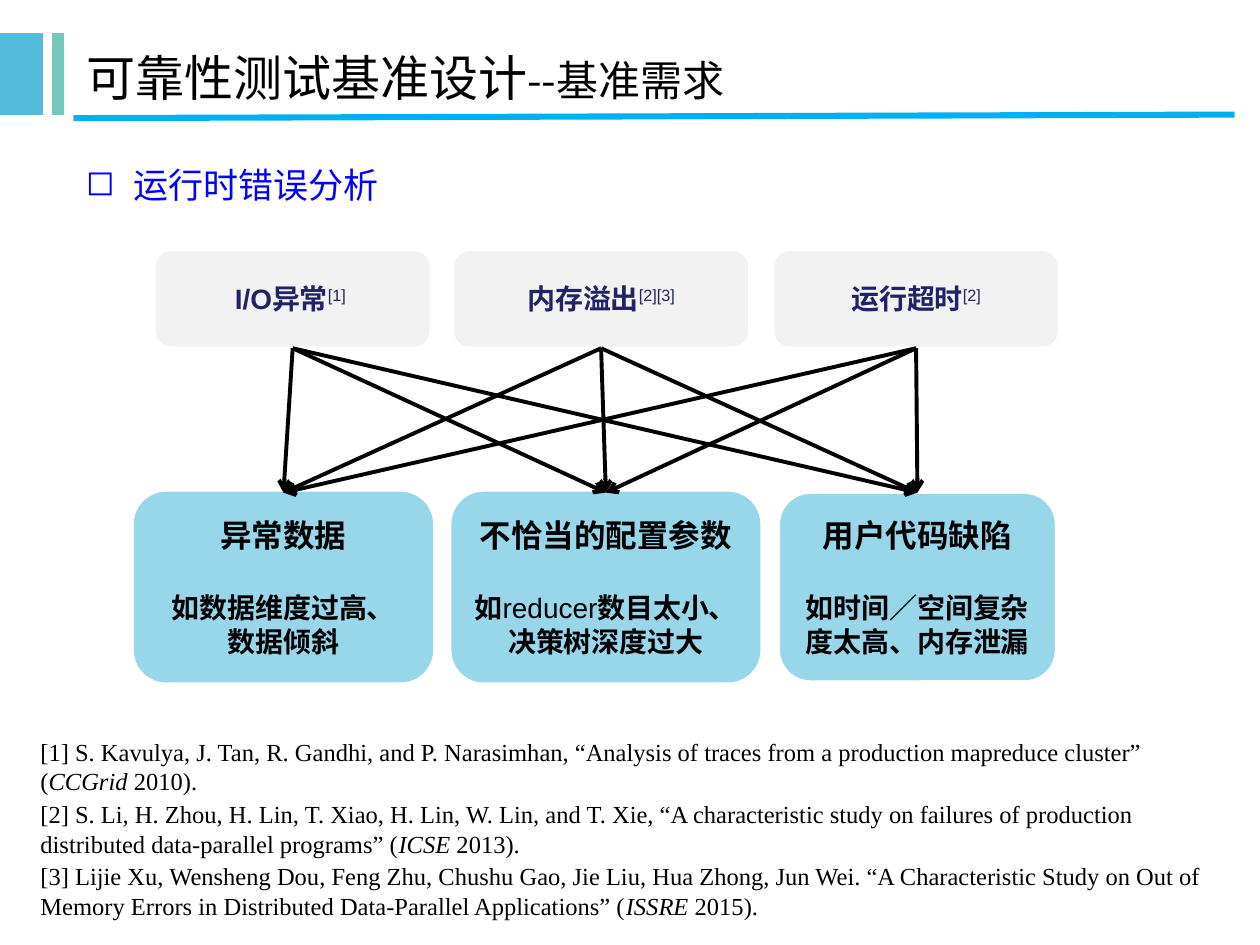
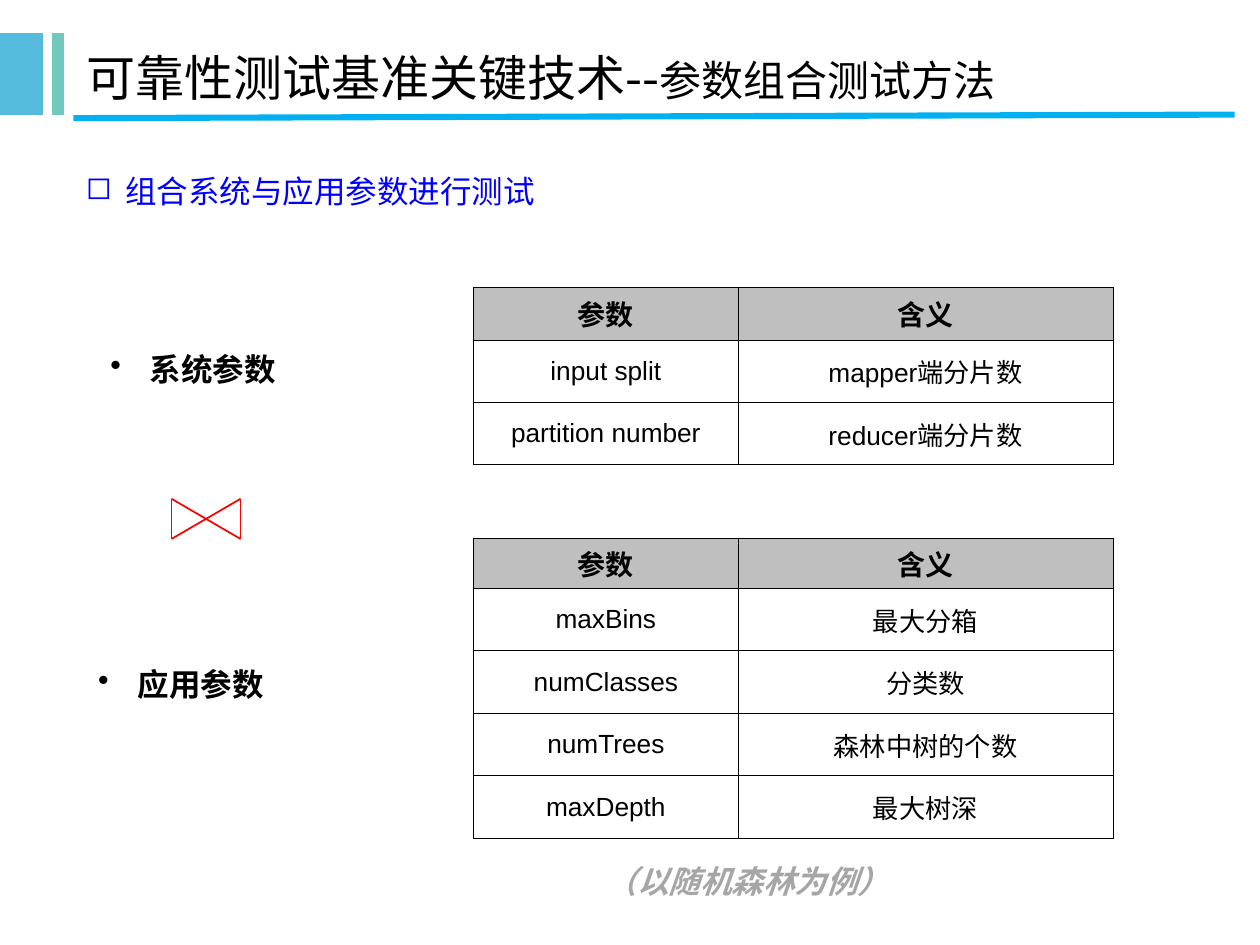
from dataclasses import dataclass, replace
from itertools import product

from lxml.etree import SubElement
from pptx import Presentation
from pptx.dml.color import RGBColor
from pptx.enum.shapes import MSO_CONNECTOR, MSO_SHAPE
from pptx.enum.text import MSO_ANCHOR, MSO_AUTO_SIZE, PP_ALIGN
from pptx.oxml.ns import qn
from pptx.util import Pt


@dataclass(frozen=True)
class Style:
    size: float
    color: str = "000000"
    bold: bool = False
    italic: bool = False
    raised: bool = False
    font: str = "Arial"


class Theme:
    east_asian = "Noto Sans CJK SC"
    band_blue, band_green, rule = "54BBDC", "73C8BE", "00B0F0"
    symptom_fill, cause_fill, white = "F2F2F2", "98D6EA", "FFFFFF"
    header_fill, black, red = "BFBFBF", "000000", "FF0000"
    title = Style(28, font=east_asian)
    subtitle = Style(24, font=east_asian)
    topic = Style(20, "0000FF")
    small_topic = Style(18, "0000FF")
    symptom = Style(16, "222267", bold=True)
    citation = Style(16, "222267", raised=True)
    heading = Style(18, bold=True)
    detail = Style(16, bold=True)
    cell = Style(15)
    reference = Style(14, font="Times New Roman")
    remark = Style(18, "A6A6A6", bold=True, italic=True)


BANDS = [(0, 24, Theme.band_blue), (30, 6, Theme.band_green)]  # left, width, colour

# Name, citation, left, width
SYMPTOMS = [
    ("I/O异常", "[1] ", 88, 158.5),
    ("内存溢出", "[2][3]", 258.5, 170),
    ("运行超时", "[2]", 441.5, 164),
]
# Heading, detail paragraphs as (text, bold) spans, left, width, outline, outline width
CAUSES = [
    ("异常数据", [[("如数据维度过高、", True)], [("数据倾斜", True)]],
     77, 170, Theme.cause_fill, 1),
    ("不恰当的配置参数",
     [[("如", True), ("reducer", False), ("数目太小、决策树深度过大", True)]],
     258.5, 175.5, Theme.cause_fill, 1),
    ("用户代码缺陷", [[("如时间／空间复杂度太高、内存泄漏", True)]],
     445, 158.5, Theme.white, 1.5),
]
# Before the venue, venue, after the venue
REFERENCES = [
    ("[1] S. Kavulya, J. Tan, R. Gandhi, and P. Narasimhan, “Analysis of traces from "
     "a production mapreduce cluster” (", "CCGrid", " 2010)."),
    ("[2] S. Li, H. Zhou, H. Lin, T. Xiao, H. Lin, W. Lin, and T. Xie, “A characteristic "
     "study on failures of production distributed data-parallel programs” (",
     "ICSE", " 2013)."),
    ("[3] Lijie Xu, Wensheng Dou, Feng Zhu, Chushu Gao, Jie Liu, Hua Zhong, Jun Wei. "
     "“A Characteristic Study on Out of Memory Errors in Distributed Data-Parallel "
     "Applications” (", "ISSRE", " 2015)."),
]

TABLE_HEADER = ("参数", "含义")
# Label, label left, top and width, table top, header height, rows
PARAMETER_GROUPS = [
    ("系统参数", 56, 196.5, 149, 164.25, 30, [
        ("input split", "mapper端分片数"),
        ("partition number", "reducer端分片数"),
    ]),
    ("应用参数", 49, 376.5, 163.5, 307.75, 28.5, [
        ("maxBins", "最大分箱"),
        ("numClasses", "分类数"),
        ("numTrees", "森林中树的个数"),
        ("maxDepth", "最大树深"),
    ]),
]
TABLE_LEFT, COLUMN_WIDTHS, BODY_ROW_HEIGHT = 270.75, (151, 214.25), 35.7
JOIN_LEFT, JOIN_TOP, JOIN_RIGHT, JOIN_BOTTOM = 98, 285, 137.5, 308


def rgb(value):
    return RGBColor.from_string(value)


def write(frame, paragraphs, align=PP_ALIGN.LEFT):
    """Fill a text frame; each paragraph is a list of (text, style) spans."""
    for index, spans in enumerate(paragraphs):
        para = frame.paragraphs[0] if index == 0 else frame.add_paragraph()
        para.alignment = align
        for text, style in spans:
            span = para.add_run()
            span.text = text
            span.font.size = Pt(style.size)
            span.font.bold = style.bold
            span.font.italic = style.italic
            span.font.name = style.font
            span.font.color.rgb = rgb(style.color)
            properties = span._r.get_or_add_rPr()
            SubElement(properties, qn("a:ea"), typeface=Theme.east_asian)
            if style.raised:
                properties.set("baseline", "30000")


def add_box(page, kind, left, top, width, height, fill, line, line_width):
    box = page.shapes.add_shape(kind, Pt(left), Pt(top), Pt(width), Pt(height))
    box.shadow.inherit = False
    box.fill.solid()
    box.fill.fore_color.rgb = rgb(fill)
    box.line.color.rgb = rgb(line)
    box.line.width = Pt(line_width)
    box.text_frame.word_wrap = True
    box.text_frame.vertical_anchor = MSO_ANCHOR.MIDDLE
    return box


def add_line(page, start, end, color, width):
    line = page.shapes.add_connector(
        MSO_CONNECTOR.STRAIGHT, *(Pt(value) for value in (*start, *end)))
    line.line.color.rgb = rgb(color)
    line.line.width = Pt(width)
    SubElement(line._element.spPr, qn("a:effectLst"))
    return line


def add_arrow(page, source, target):
    arrow = add_line(page, (0, 0), (1, 1), Theme.black, 2.25)
    arrow.begin_connect(source, 2)  # bottom middle
    arrow.end_connect(target, 0)  # top middle
    SubElement(arrow.line._get_or_add_ln(), qn("a:tailEnd"), type="arrow")


def add_text(page, left, top, width, height, paragraphs):
    frame = page.shapes.add_textbox(Pt(left), Pt(top), Pt(width), Pt(height)).text_frame
    frame.word_wrap = True
    frame.auto_size = MSO_AUTO_SIZE.SHAPE_TO_FIT_TEXT
    write(frame, paragraphs)
    return frame


def add_bullet(page, left, top, width, height, text, style, mark, indent):
    frame = add_text(page, left, top, width, height, [[(text, style)]])
    properties = frame.paragraphs[0]._p.get_or_add_pPr()
    properties.set("marL", str(Pt(indent)))
    properties.set("indent", str(-Pt(indent)))
    SubElement(properties, qn("a:buChar"), char=mark)


def add_page(deck, title, subtitle):
    """Add a slide with the side bands, the title and the rule below it."""
    page = deck.slides.add_slide(deck.slide_layouts[5])
    for left, width, color in BANDS:
        add_box(page, MSO_SHAPE.RECTANGLE, left, 19, width, 46.5, color, color, 0.75)
    holder = page.shapes.title
    holder.left, holder.top = Pt(42.5), Pt(19)
    holder.width, holder.height = Pt(641.5), Pt(49.5)
    holder.text_frame.vertical_anchor = MSO_ANCHOR.MIDDLE
    holder.text_frame.auto_size = MSO_AUTO_SIZE.NONE
    write(holder.text_frame, [[(title, Theme.title), (subtitle, Theme.subtitle)]])
    add_line(page, (42, 67.5), (705.5, 65.5), Theme.rule, 3.5)
    return page


def format_cell(cell, text, style, fill):
    cell.fill.solid()
    cell.fill.fore_color.rgb = rgb(fill)
    cell.vertical_anchor = MSO_ANCHOR.MIDDLE
    cell.margin_top = cell.margin_bottom = Pt(2.5)
    write(cell.text_frame, [[(text, style)]], PP_ALIGN.CENTER)
    properties = cell._tc.get_or_add_tcPr()
    for position, side in enumerate("LRTB"):
        border = SubElement(properties, qn("a:ln" + side), w=str(Pt(0.5)))
        color = SubElement(SubElement(border, qn("a:solidFill")), qn("a:srgbClr"))
        color.set("val", Theme.black)
        properties.insert(position, border)


def add_parameter_table(page, top, header_height, body):
    rows = [TABLE_HEADER, *body]
    heights = [header_height] + [BODY_ROW_HEIGHT] * len(body)
    table = page.shapes.add_table(
        len(rows), len(COLUMN_WIDTHS), Pt(TABLE_LEFT), Pt(top),
        Pt(sum(COLUMN_WIDTHS)), Pt(sum(heights))).table
    table.first_row = table.horz_banding = False
    for column, width in zip(table.columns, COLUMN_WIDTHS):
        column.width = Pt(width)
    for index, (texts, height) in enumerate(zip(rows, heights)):
        table.rows[index].height = Pt(height)
        style, fill = ((Theme.detail, Theme.header_fill) if index == 0
                       else (Theme.cell, Theme.white))
        for cell, text in zip(table.rows[index].cells, texts):
            format_cell(cell, text, style, fill)


def build_error_page(deck):
    page = add_page(deck, "可靠性测试基准设计", "--基准需求")
    add_bullet(page, 42, 90, 186, 31, "运行时错误分析", Theme.topic, "◻", 27)

    symptoms, causes = [], []
    for name, citation, left, width in SYMPTOMS:
        box = add_box(page, MSO_SHAPE.ROUNDED_RECTANGLE, left, 142.5, width, 56.5,
                      Theme.symptom_fill, Theme.white, 2)
        write(box.text_frame, [[(name, Theme.symptom), (citation, Theme.citation)]],
              PP_ALIGN.CENTER)
        symptoms.append(box)
    for heading, details, left, width, line, line_width in CAUSES:
        box = add_box(page, MSO_SHAPE.ROUNDED_RECTANGLE, left, 281.5, width, 108,
                      Theme.cause_fill, line, line_width)
        paragraphs = [[(text, replace(Theme.detail, bold=bold)) for text, bold in spans]
                      for spans in details]
        write(box.text_frame, [[(heading, Theme.heading)], *paragraphs], PP_ALIGN.CENTER)
        box.text_frame.paragraphs[0].space_after = Pt(21)
        causes.append(box)
    for symptom, cause in product(symptoms, causes):
        add_arrow(page, symptom, cause)

    venue_style = replace(Theme.reference, italic=True)
    frame = add_text(page, 16, 417.5, 687.5, 112.5, [
        [(before, Theme.reference), (venue, venue_style), (after, Theme.reference)]
        for before, venue, after in REFERENCES])
    for para in frame.paragraphs:
        para.space_before = para.space_after = Pt(1)


def build_parameter_page(deck):
    page = add_page(deck, "可靠性测试基准关键技术", "--参数组合测试方法")
    # The dashes of this title keep the large size.
    dashes = page.shapes.title.text_frame.paragraphs[0].runs
    dashes[0].text, dashes[1].text = "可靠性测试基准关键技术--", "参数组合测试方法"
    add_bullet(page, 42, 94.5, 519, 29, "组合系统与应用参数进行测试",
               Theme.small_topic, "◻", 22.5)
    for label, left, top, width, table_top, header_height, rows in PARAMETER_GROUPS:
        add_bullet(page, left, top, width, 29, label, Theme.heading, "•", 22.5)
        add_parameter_table(page, table_top, header_height, rows)

    corners = [(JOIN_LEFT, JOIN_TOP), (JOIN_RIGHT, JOIN_BOTTOM),
               (JOIN_RIGHT, JOIN_TOP), (JOIN_LEFT, JOIN_BOTTOM)]
    for start, end in zip(corners, corners[1:] + corners[:1]):
        add_line(page, start, end, Theme.red, 1)
    add_text(page, 339, 489, 229, 29, [[("（以随机森林为例）", Theme.remark)]])


def main():
    deck = Presentation()
    deck.slide_width, deck.slide_height = Pt(720), Pt(540)
    build_error_page(deck)
    build_parameter_page(deck)
    deck.save("out.pptx")


if __name__ == "__main__":
    main()
